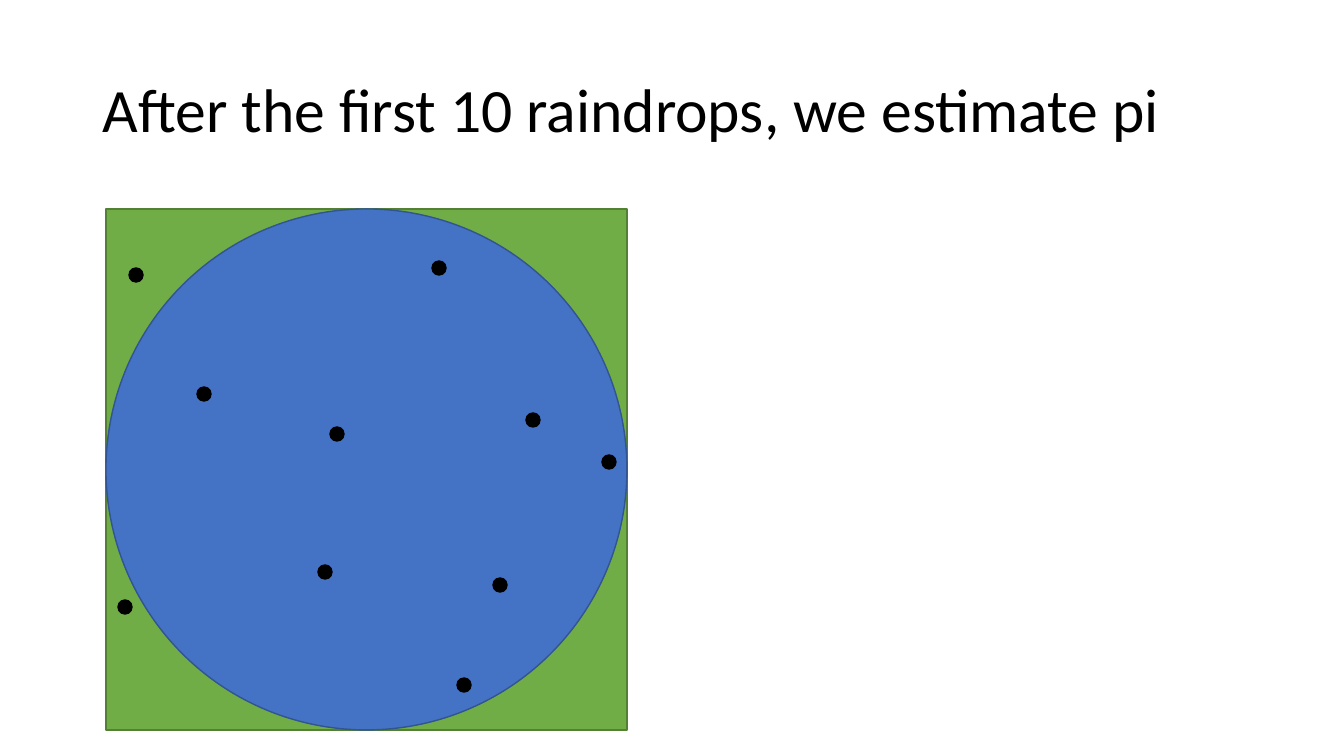
from pptx import Presentation
from pptx.dml.color import RGBColor
from pptx.enum.shapes import MSO_SHAPE
from pptx.enum.text import MSO_ANCHOR
from pptx.util import Pt

EMU_PER_PX = 914400 / 100.8
SQUARE = MSO_SHAPE.RECTANGLE
CIRCLE = MSO_SHAPE.OVAL
MIDDLE = MSO_ANCHOR.MIDDLE

DROP_SIZE = 14
# Raindrop centres, measured from the top left corner of the square
RAINDROPS = [
    (30, 66), (333, 59), (503, 253), (19, 398), (98, 185),
    (231, 225), (358, 476), (394, 376), (219, 363), (427, 211),
]


def px(length):
    return round(length * EMU_PER_PX)


def colour(hex_code):
    return RGBColor.from_string(hex_code)


def add_outlined(page, kind, box, fill, line):
    shape = page.shapes.add_shape(kind, *map(px, box))
    shape.shadow.inherit = False
    shape.fill.solid()
    shape.fill.fore_color.rgb = colour(fill)
    shape.line.color.rgb = colour(line)
    shape.line.width = Pt(1)


def add_title(page, box, text):
    frame = page.shapes.add_textbox(*map(px, box)).text_frame
    frame.word_wrap = True
    frame.vertical_anchor = MIDDLE
    para = frame.paragraphs[0]
    para.line_spacing = 0.9
    span = para.add_run()
    span.text = text
    for name, value in {"name": "Calibri", "size": Pt(44)}.items():
        setattr(span.font, name, value)
    span.font.color.rgb = colour("000000")


def add_rain_target(page, box):
    left, top, _, _ = box
    # Square with its inscribed circle
    add_outlined(page, SQUARE, box, "70AD47", "538035")
    add_outlined(page, CIRCLE, box, "4472C4", "325491")
    # Raindrops
    for x, y in RAINDROPS:
        drop = (left + x - DROP_SIZE / 2, top + y - DROP_SIZE / 2,
                DROP_SIZE, DROP_SIZE)
        add_outlined(page, CIRCLE, drop, "000000", "000000")


def main():
    deck = Presentation()
    deck.slide_width, deck.slide_height = px(1344), px(756)
    page = deck.slides.add_slide(deck.slide_layouts[6])
    add_rain_target(page, (106, 209, 521, 521))
    add_title(page, (93, 40, 1159, 146),
              "After the first 10 raindrops, we estimate pi")
    deck.save("out.pptx")


if __name__ == "__main__":
    main()
